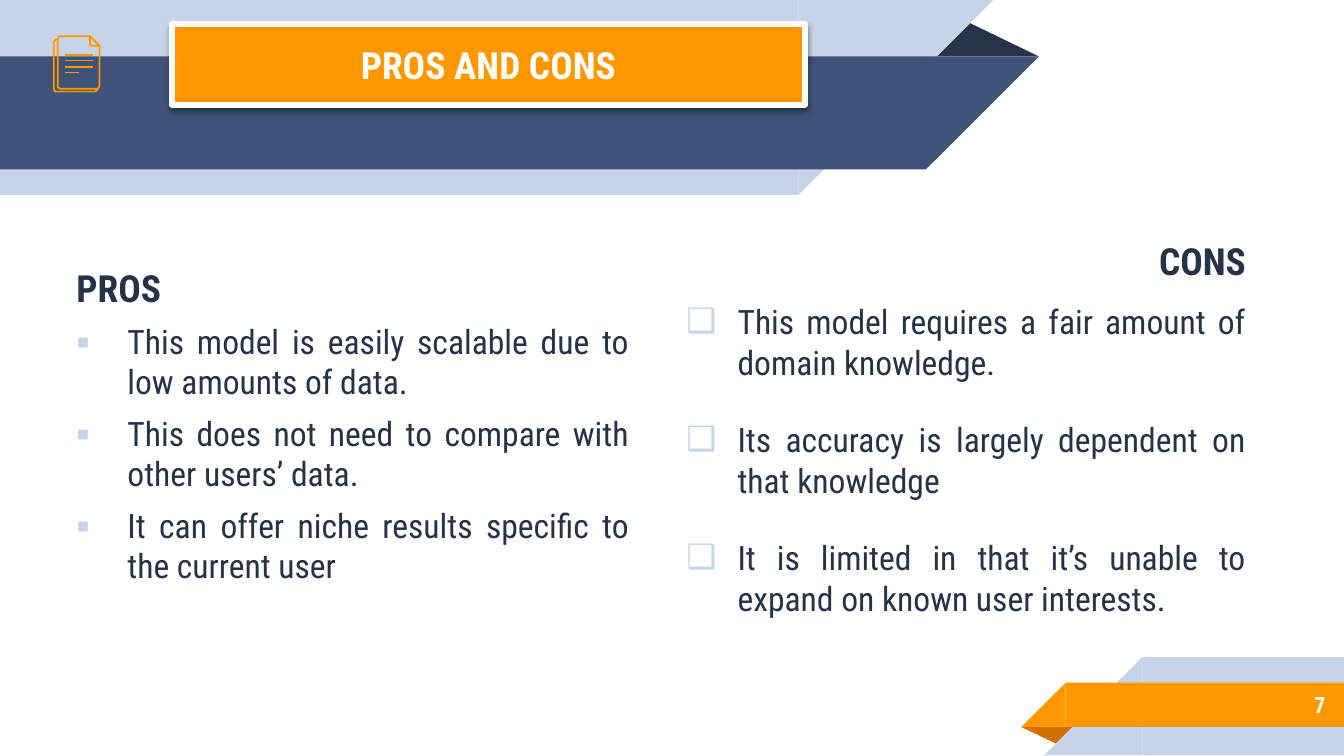
"""Build the pros and cons slide."""
from dataclasses import dataclass

from lxml.etree import SubElement
from pptx import Presentation
from pptx.dml.color import RGBColor
from pptx.enum.shapes import MSO_CONNECTOR, MSO_SHAPE
from pptx.enum.text import MSO_ANCHOR, PP_ALIGN
from pptx.oxml.ns import qn
from pptx.util import Inches, Pt


@dataclass(frozen=True)
class Theme:
    font: str = "Roboto Condensed"
    dark: str = "263248"
    navy: str = "3F5378"
    pale: str = "C7D3E6"
    orange: str = "FF9800"
    rust: str = "D26F00"
    white: str = "FFFFFF"
    shadow: str = "000000"
    heading_size: float = 20
    body_size: float = 18
    number_size: float = 12
    icon_line: float = 0.96


@dataclass(frozen=True)
class Box:
    left: float
    top: float
    width: float
    height: float

    def lengths(self) -> tuple:
        return tuple(Inches(value) for value in (self.left, self.top, self.width, self.height))


@dataclass(frozen=True)
class Piece:
    kind: MSO_SHAPE
    box: Box
    color: str
    rotation: int = 0
    mirrored: bool = False


@dataclass(frozen=True)
class Column:
    box: Box
    heading: str
    heading_alignment: PP_ALIGN
    bullet: str
    space_before: float
    space_after: float
    points: tuple


THEME = Theme()
RECTANGLE, CORNER, FOLD = MSO_SHAPE.RECTANGLE, MSO_SHAPE.RIGHT_TRIANGLE, MSO_SHAPE.ISOSCELES_TRIANGLE
FOLD_APEX = 0.32
INDENT = 0.38

RIBBONS = (
    Piece(FOLD, Box(6.88, 0.14, 0.85, 0.28), THEME.dark),
    Piece(RECTANGLE, Box(0, 0, 5.94, 1.45), THEME.pale, 180, True),
    Piece(CORNER, Box(5.94, 0, 1.45, 1.45), THEME.pale, 180, True),
    Piece(RECTANGLE, Box(0, 0.42, 6.89, 0.84), THEME.navy, 180, True),
    Piece(CORNER, Box(6.89, 0.42, 0.84, 0.84), THEME.navy, 180, True),
    Piece(FOLD, Box(7.6, 5.41, 0.43, 0.14), THEME.rust, 180),
    Piece(RECTANGLE, Box(8.5, 4.89, 1.5, 0.73), THEME.pale, 0, True),
    Piece(CORNER, Box(7.77, 4.89, 0.73, 0.73), THEME.pale, 0, True),
    Piece(RECTANGLE, Box(7.93, 5.08, 2.08, 0.33), THEME.orange, 0, True),
    Piece(CORNER, Box(7.6, 5.08, 0.33, 0.33), THEME.orange, 0, True),
)

COLUMNS = (
    Column(Box(0.47, 1.87, 4.31, 3.15), "PROS", PP_ALIGN.LEFT, "▪", 6, 0, (
        "This model is easily scalable due to low amounts of data.",
        "This does not need to compare with other users’ data.",
        "It can offer niche results specific to the current user",
    )),
    Column(Box(5.01, 1.67, 4.36, 3.4), "CONS", PP_ALIGN.RIGHT, "❑", 10, 10, (
        "This model requires a fair amount of domain knowledge.",
        "Its accuracy is largely dependent on that knowledge",
        "It is limited in that it’s unable to expand on known user interests.",
    )),
)

BACK_PAGE = ((73, 66), (72, 67), (71, 68), (43, 68), (41, 68), (40, 66), (40, 31), (41, 30), (42, 29))
FRONT_PAGE = ((74, 34), (74, 64), (73, 66), (45, 66), (43, 65), (43, 29), (44, 27), (67, 27))
PAGE_CORNER = ((67, 33), (67, 27), (74, 34), (69, 34), (68, 34))
TEXT_LINES = ((0.59, 0.54), (0.69, 0.5), (0.69, 0.45), (0.69, 0.41))


def rgb(color: str) -> RGBColor:
    return RGBColor.from_string(color)


def draw_piece(slide, piece: Piece):
    shape = slide.shapes.add_shape(piece.kind, *piece.box.lengths())
    shape.shadow.inherit = False
    shape.fill.solid()
    shape.fill.fore_color.rgb = rgb(piece.color)
    shape.line.fill.background()
    shape.rotation = piece.rotation
    if piece.kind == FOLD:
        shape.adjustments[0] = FOLD_APEX
    if piece.mirrored:
        shape._element.spPr.find(qn("a:xfrm")).set("flipH", "1")
    return shape


def set_frame(shape, anchor: MSO_ANCHOR):
    frame = shape.text_frame
    frame.word_wrap = True
    frame.vertical_anchor = anchor
    frame.margin_left = frame.margin_right = frame.margin_top = frame.margin_bottom = Inches(0.1)
    return frame


def write(paragraph, text: str, size: float, color: str, alignment: PP_ALIGN, bold: bool) -> None:
    paragraph.alignment = alignment
    run = paragraph.add_run()
    run.text = text
    run.font.name = THEME.font
    run.font.size = Pt(size)
    run.font.bold = bold
    run.font.color.rgb = rgb(color)


def add_bullet(paragraph, character: str) -> None:
    properties = paragraph._p.get_or_add_pPr()
    properties.set("marL", str(Inches(INDENT)))
    properties.set("indent", str(-Inches(INDENT)))
    color = SubElement(properties, qn("a:buClr"))
    SubElement(color, qn("a:srgbClr"), val=THEME.pale)
    SubElement(properties, qn("a:buFont"), typeface=THEME.font)
    SubElement(properties, qn("a:buChar"), char=character)


def draw_column(slide, column: Column) -> None:
    frame = set_frame(slide.shapes.add_textbox(*column.box.lengths()), MSO_ANCHOR.TOP)
    heading = frame.paragraphs[0]
    heading.space_before = Pt(6)
    write(heading, column.heading, THEME.heading_size, THEME.dark, column.heading_alignment, True)
    for point in column.points:
        paragraph = frame.add_paragraph()
        paragraph.space_before = Pt(column.space_before)
        paragraph.space_after = Pt(column.space_after)
        write(paragraph, point, THEME.body_size, THEME.dark, PP_ALIGN.JUSTIFY, False)
        add_bullet(paragraph, column.bullet)


def draw_title(slide) -> None:
    shape = draw_piece(slide, Piece(RECTANGLE, Box(1.28, 0.18, 4.71, 0.6), THEME.orange))
    shape.line.color.rgb = rgb(THEME.white)
    shape.line.width = Pt(3)
    effects = shape._element.spPr.find(qn("a:effectLst"))
    shadow = SubElement(effects, qn("a:outerShdw"), blurRad=str(Pt(3)), dist=str(Pt(2)), dir="5400000")
    color = SubElement(shadow, qn("a:srgbClr"), val=THEME.shadow)
    SubElement(color, qn("a:alpha"), val="40000")
    paragraph = set_frame(shape, MSO_ANCHOR.MIDDLE).paragraphs[0]
    write(paragraph, "PROS AND CONS", THEME.heading_size, THEME.white, PP_ALIGN.CENTER, True)


def draw_slide_number(slide) -> None:
    text_box = slide.shapes.add_textbox(*Box(8.33, 5.07, 1.63, 0.35).lengths())
    paragraph = set_frame(text_box, MSO_ANCHOR.MIDDLE).paragraphs[0]
    write(paragraph, "7", THEME.number_size, THEME.white, PP_ALIGN.RIGHT, True)


def style_icon_line(shape) -> None:
    shape.line.color.rgb = rgb(THEME.orange)
    shape.line.width = Pt(THEME.icon_line)


def draw_outline(slide, points: tuple, closed: bool) -> None:
    builder = slide.shapes.build_freeform(*points[0], scale=Inches(0.01))
    builder.add_line_segments(points[1:], close=closed)
    shape = builder.convert_to_shape()
    shape.shadow.inherit = False
    shape.fill.background()
    style_icon_line(shape)


def draw_document_icon(slide) -> None:
    draw_outline(slide, BACK_PAGE, False)
    draw_outline(slide, FRONT_PAGE, False)
    for right, height in TEXT_LINES:
        connector = slide.shapes.add_connector(
            MSO_CONNECTOR.STRAIGHT, Inches(right), Inches(height), Inches(0.48), Inches(height))
        style_icon_line(connector)
        SubElement(connector._element.spPr, qn("a:effectLst"))
    draw_outline(slide, PAGE_CORNER, True)


def main() -> None:
    presentation = Presentation()
    presentation.slide_width, presentation.slide_height = Inches(10), Inches(10) * 9 // 16
    slide = presentation.slides.add_slide(presentation.slide_layouts[6])
    for piece in RIBBONS:
        draw_piece(slide, piece)
    draw_title(slide)
    for column in COLUMNS:
        draw_column(slide, column)
    draw_slide_number(slide)
    draw_document_icon(slide)
    presentation.save("out.pptx")


if __name__ == "__main__":
    main()
